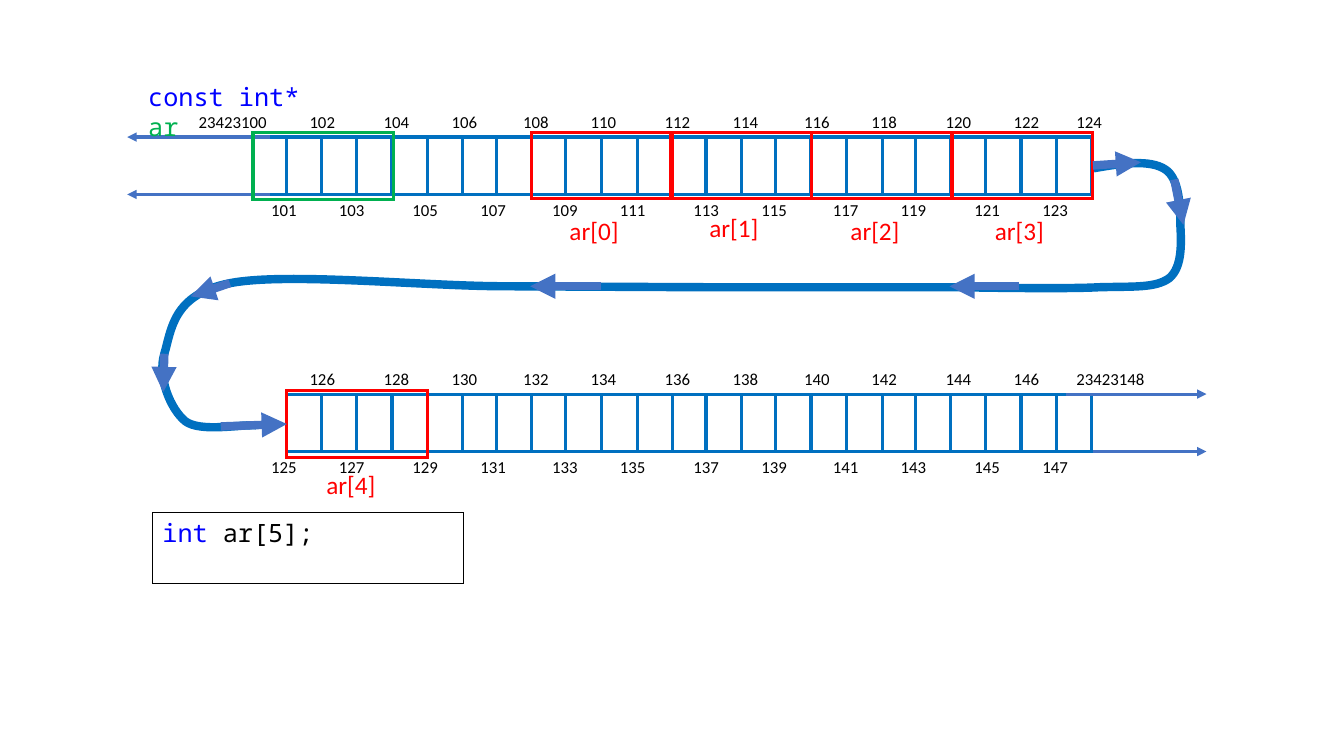
from pptx import Presentation
from pptx.dml.color import RGBColor
from pptx.enum.shapes import MSO_CONNECTOR, MSO_SHAPE
from pptx.enum.text import MSO_ANCHOR, MSO_AUTO_SIZE, PP_ALIGN
from pptx.oxml.ns import qn
from pptx.util import Pt
from lxml.etree import SubElement

BLUE, ARROW, RED, GREEN = "0070C0", "4472C4", "FF0000", "00B050"
BLACK, WHITE, KEYWORD = "000000", "FFFFFF", "0000FF"
SANS, MONO = "Calibri", "Noto Sans Mono"

# Cell edges repeat in groups of six, counted from the second cell.
CELL_X, CELL_STEPS, CELL_PERIOD = 204.7, (0, 25.1, 49.7, 75.4, 100.6, 125.8), 149.8
CELL_W, CELL_H = 25.2, 41
FIRST_Y, SECOND_Y = 97.9, 281.5
LABEL_W, LABEL_H, LAST_LABEL_X = 35.3, 21.8, 761.8
# Address labels repeat in groups of four, one group per eight cells.
LABEL_PERIOD = 200.7
EVEN_X, EVEN_STEPS = 214, (0, 53, 101.5, 152.6)
ODD_X, ODD_STEPS = 186.5, (0, 48.4, 101, 149.6)
INT_W, INT_H = 100.7, 47.6


def color(hex_string):
    return RGBColor.from_string(hex_string)


def repeat(start, steps, period, i):
    group, place = divmod(i, len(steps))
    return start + group * period + steps[place]


def add_rect(s, x, y, w, h, line, width=2.25, fill=None):
    sp = s.shapes.add_shape(MSO_SHAPE.RECTANGLE, Pt(x), Pt(y), Pt(w), Pt(h))
    sp.shadow.inherit = False
    if fill:
        sp.fill.solid()
        sp.fill.fore_color.rgb = color(fill)
    else:
        sp.fill.background()
    sp.line.color.rgb = color(line)
    sp.line.width = Pt(width)
    SubElement(sp._element.spPr.find(qn("a:ln")), qn("a:miter"), lim="800000")
    return sp


def write(sp, runs, size, font, wrap=True):
    """Fill a shape with one left-aligned paragraph of (text, colour) runs."""
    tf = sp.text_frame
    tf.word_wrap = wrap
    tf.auto_size = MSO_AUTO_SIZE.NONE
    tf.vertical_anchor = MSO_ANCHOR.TOP
    p = tf.paragraphs[0]
    p.alignment = PP_ALIGN.LEFT
    p.font.size, p.font.name = Pt(size), font
    for text, ink in runs:
        r = p.add_run()
        r.text = text
        r.font.color.rgb = color(ink)


def add_text(s, x, y, w, h, runs, size=12, font=SANS, wrap=True):
    sp = s.shapes.add_textbox(Pt(x), Pt(y), Pt(w), Pt(h))
    write(sp, runs, size, font, wrap)


def add_arrow(s, x1, y1, x2, y2, width=2.25):
    cn = s.shapes.add_connector(MSO_CONNECTOR.STRAIGHT, Pt(x1), Pt(y1), Pt(x2), Pt(y2))
    cn.line.color.rgb = color(ARROW)
    cn.line.width = Pt(width)
    spPr = cn._element.spPr
    SubElement(spPr.find(qn("a:ln")), qn("a:tailEnd"), type="triangle")
    SubElement(spPr, qn("a:effectLst"))
    return cn


def add_addresses(s, x, y, steps, numbers):
    for i, number in enumerate(numbers):
        add_text(s, repeat(x, steps, LABEL_PERIOD, i), y, LABEL_W, LABEL_H,
                 [(str(number), BLACK)])


def add_memory_row(s, y, first_cell, even, odd, last, last_w):
    """Byte cells with even addresses above and odd addresses below."""
    for i in range(first_cell, 24):
        x = repeat(CELL_X, CELL_STEPS, CELL_PERIOD, i - 1)
        add_rect(s, x, y, CELL_W, CELL_H, BLUE, fill=WHITE)
    add_addresses(s, EVEN_X, y - LABEL_H, EVEN_STEPS, even)
    add_addresses(s, ODD_X, y + CELL_H, ODD_STEPS, odd)
    add_text(s, LAST_LABEL_X, y - LABEL_H, last_w, LABEL_H, [(last, BLACK)])


def add_flow_curve(s, left, top, right, bottom):
    """Curve inside the given bounds, as one smooth outline."""
    bends = [
        [(801.4, 116.6), (821.5, 113.8), (832.3, 121)],
        [(842.4, 127.4), (843.1, 147.6), (843.1, 160.6)],
        [(843.8, 173.5), (844.6, 190.8), (835.2, 198.7)],
        [(825.1, 205.9), (810, 204.5), (784.8, 205.2)],
        [(760.3, 206.6), (686.2, 205.2), (686.2, 205.2)],
        [(625, 205.2), (569, 205.2), (508.3, 205.2)],
        [(459, 205), (410, 204.7), (360.7, 204.5)],
        [(303.1, 204.5), (204.5, 194.4), (164.2, 202.3)],
        [(123.1, 210.2), (122.4, 236.2), (117.4, 252.7)],
        [(112.3, 269.3), (121.7, 292.3), (132.5, 301)],
        [(143.3, 308.9), (172.1, 303.1), (182.9, 303.8)],
    ]
    unit = 100
    builder = s.shapes.build_freeform(left * unit, top * unit, scale=Pt(1) / unit)
    builder.add_line_segments([(right * unit, bottom * unit)], close=False)
    sp = builder.convert_to_shape()
    outline = sp._element.spPr.find(".//" + qn("a:path"))
    for child in list(outline):
        outline.remove(child)
    for tag, points in [("a:moveTo", [(781.2, 120.2)])] + [("a:cubicBezTo", b) for b in bends]:
        node = SubElement(outline, qn(tag))
        for x, y in points:
            SubElement(node, qn("a:pt"), x=str(round((x - left) * unit)),
                       y=str(round((y - top) * unit)))
    sp.shadow.inherit = False
    sp.fill.background()
    sp.line.color.rgb = color(BLUE)
    sp.line.width = Pt(6)


def add_element(s, index, x, y, dx, dy):
    """Frame of one int, with its name at (dx, dy) from the frame's corner."""
    frame = add_rect(s, x, y, INT_W, INT_H, RED)
    add_text(s, x + dx, y + dy, 54.7, 28.8, [(f"ar[{index}]", RED)], 18)
    return frame


def add_flow_arrows(s, first_frame, last_frame):
    for ends in [(727.9, 204.5, 678.2, 204.5), (429.1, 204.5, 378.7, 204.5),
                 (164.2, 202.3, 136.1, 211.7), (117.4, 252.7, 116.6, 280.1),
                 (838.8, 128.2, 845.3, 160.6)]:
        add_arrow(s, *ends, width=6)
    add_arrow(s, 780.5, 118.1, 815, 115.9, 6).begin_connect(first_frame, 3)
    add_arrow(s, 157.7, 304.6, 205.2, 302.4, 6).end_connect(last_frame, 1)


def add_memory(s):
    add_arrow(s, LAST_LABEL_X, SECOND_Y + CELL_H, 861.8, SECOND_Y + CELL_H)
    add_memory_row(s, FIRST_Y, 0, range(102, 123, 2), range(101, 124, 2), "124", LABEL_W)
    for y in (FIRST_Y, FIRST_Y + CELL_H):
        add_arrow(s, 193, y, 90.9, y)
    add_text(s, 134.8, FIRST_Y - LABEL_H, 64.1, LABEL_H, [("23423100", BLACK)], wrap=False)
    add_memory_row(s, SECOND_Y, 1, range(126, 147, 2), range(125, 148, 2), "23423148", 82.8)
    add_arrow(s, LAST_LABEL_X, SECOND_Y, 861.8, SECOND_Y)


def add_array(s):
    add_flow_curve(s, 115.9, 116.6, 843.8, 305.3)
    places = [(379.4, 20.3, 55.7), (479, 20.6, 54), (579.5, 20.9, 55.7), (680, 23.6, 55.7)]
    for i, (x, dx, dy) in enumerate(places):
        frame = add_element(s, i, x, FIRST_Y - 3.5, dx, dy)
    last_frame = add_element(s, 4, 204.9, SECOND_Y - 2.4, 21.2, 52.8)
    add_flow_arrows(s, frame, last_frame)


def add_code(s):
    box = add_rect(s, 108.9, 365.8, 222.5, 51.1, BLACK, 0.75)
    write(box, [("int ", KEYWORD), ("ar[5];", BLACK)], 18, MONO)
    add_rect(s, 180.7, FIRST_Y - 3.2, INT_W, INT_H, GREEN)
    add_text(s, 98.8, 54.7, 145.4, 28.8, [("const int* ", KEYWORD), ("ar", GREEN)], 18, MONO)


def main():
    prs = Presentation()
    prs.slide_width, prs.slide_height = Pt(960), Pt(540)
    s = prs.slides.add_slide(prs.slide_layouts[6])
    add_memory(s)
    add_array(s)
    add_code(s)
    prs.save("out.pptx")


if __name__ == "__main__":
    main()
